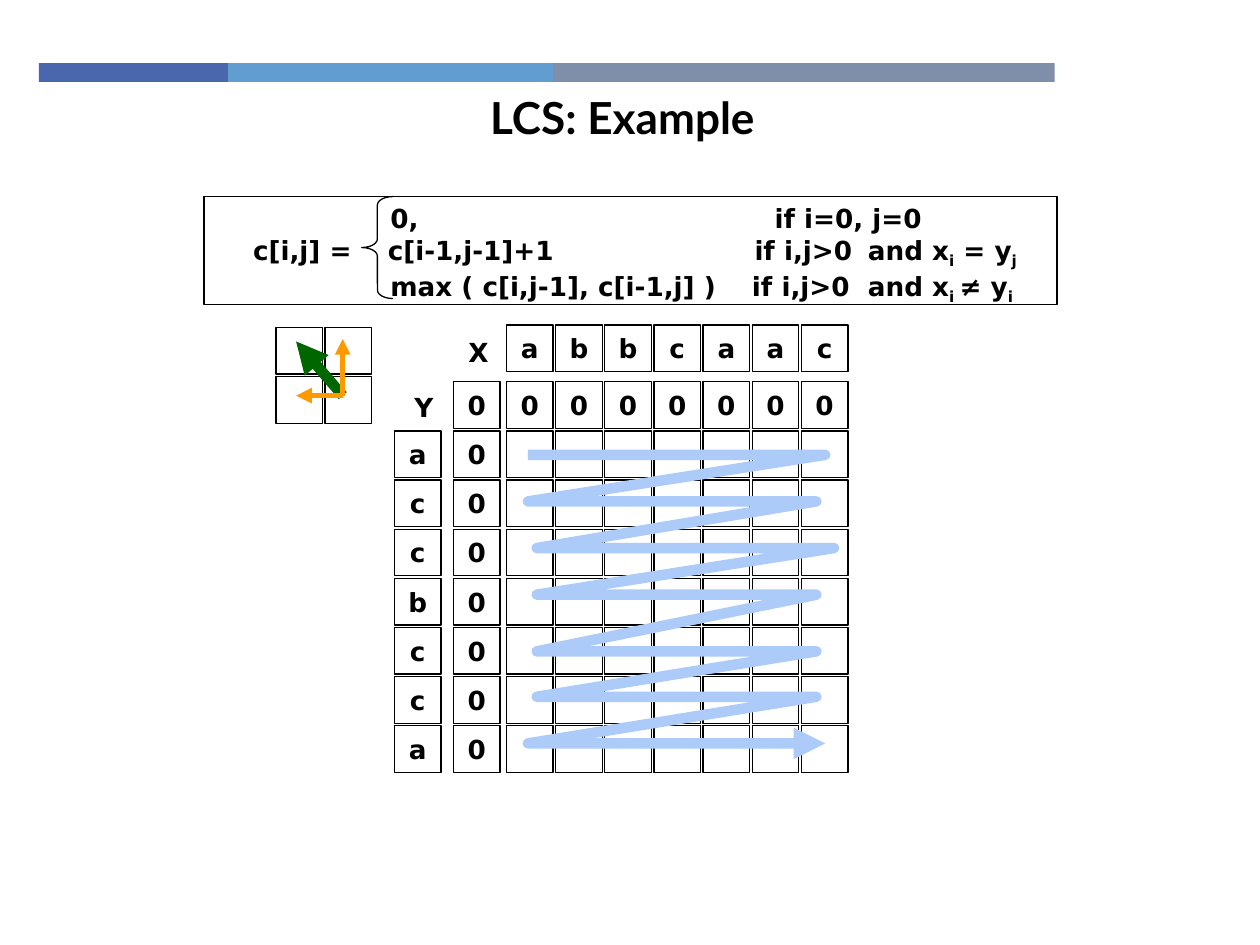
from dataclasses import dataclass

from lxml import etree
from pptx import Presentation
from pptx import util as u
from pptx.dml import color
from pptx.enum import shapes, text
from pptx.oxml import ns


@dataclass(frozen=True)
class Theme:
    """Colours, fonts and type sizes of the slide."""
    ink: str = "000000"
    bars: tuple = ("4A66AC", "629DD1", "7F8FA9")
    diagonal: str = "006600"
    straight: str = "FF9900"
    sweep: str = "ACCBF9"
    title_font: str = "Lato"
    body_font: str = "DejaVu Sans"
    title_size: float = 25.2
    body_size: float = 15
    hairline: float = 0.75


THEME = Theme()
CELL, STEP = 0.37, 0.39
GEO = shapes.MSO_SHAPE


def rgb(value):
    """Turn a hex string into a colour."""
    return color.RGBColor.from_string(value)


def set_attrs(target, values):
    """Set every attribute named in a dict."""
    for name, value in values.items():
        setattr(target, name, value)


def style_run(r, font, size):
    """Apply bold ink type to a run."""
    set_attrs(r.font, {"name": font, "size": u.Pt(size), "bold": True})
    r.font.color.rgb = rgb(THEME.ink)


def style_line(sp, hue, width, arrow=False):
    """Set line colour and width, with an optional arrowhead."""
    sp.line.color.rgb = rgb(hue)
    sp.line.width = u.Pt(width)
    if arrow:
        ln = sp.line._get_or_add_ln()
        etree.SubElement(ln, ns.qn("a:round"))
        etree.SubElement(ln, ns.qn("a:tailEnd"), type="triangle")


def outline(s, kind, x, y, w, h):
    """Add an unfilled preset shape with a thin outline."""
    sp = s.shapes.add_shape(kind, *map(u.Inches, (x, y, w, h)))
    sp.shadow.inherit = False
    sp.fill.background()
    style_line(sp, THEME.ink, THEME.hairline)
    return sp


def add_cell(s, x, y, label=""):
    """Add one square cell, with a centred label if given."""
    sp = outline(s, GEO.RECTANGLE, x, y, CELL, CELL)
    if label:
        tf = sp.text_frame
        set_attrs(tf, {"word_wrap": False, "vertical_anchor": text.MSO_ANCHOR.MIDDLE})
        p = tf.paragraphs[0]
        p.alignment = text.PP_ALIGN.CENTER
        r = p.add_run()
        r.text = label
        style_run(r, THEME.body_font, THEME.body_size)


def add_axis_name(s, x, y, label):
    """Add the name of a sequence."""
    tf = s.shapes.add_textbox(*map(u.Inches, (x, y, 0.36, 0.35))).text_frame
    tf.word_wrap = False
    r = tf.paragraphs[0].add_run()
    r.text = label
    style_run(r, THEME.body_font, THEME.body_size)


def add_header(s, x, y):
    """Add the coloured bars and the title."""
    left = x
    for hue, width in zip(THEME.bars, (1.5, 2.58, 3.98)):
        sp = s.shapes.add_shape(GEO.RECTANGLE, *map(u.Inches, (left, y, width, 0.15)))
        sp.shadow.inherit = False
        sp.fill.solid()
        sp.fill.fore_color.rgb = rgb(hue)
        sp.line.fill.background()
        left += width
    title = s.shapes.title
    set_attrs(title, {"left": 0, "top": u.Inches(y + 0.17),
                      "width": u.Inches(9.88), "height": u.Inches(0.52)})
    title.text_frame.vertical_anchor = text.MSO_ANCHOR.MIDDLE
    p = title.text_frame.paragraphs[0]
    p.alignment = text.PP_ALIGN.CENTER
    r = p.add_run()
    r.text = "LCS: Example"
    style_run(r, THEME.title_font, THEME.title_size)


def add_table_grid(s, x, y, across, down):
    """Add the cost grid with its two sequences and zero borders."""
    cols = [x + 0.47] + [x + 0.89 + STEP * i for i in range(len(across))]
    rows = [y + 0.45 + STEP * j for j in range(len(down) + 1)]
    for j, top in enumerate(rows):
        for i, left in enumerate(cols):
            add_cell(s, left, top, "" if i and j else "0")
    for left, label in zip(cols[1:], across):
        add_cell(s, left, y, label)
    for top, label in zip(rows[1:], down):
        add_cell(s, x, top, label)
    add_axis_name(s, x + 0.49, y + 0.04, "X")
    add_axis_name(s, x + 0.06, y + 0.48, "Y")


def add_direction_key(s, x, y):
    """Add the four-cell key with its three arrows."""
    for k in range(4):
        add_cell(s, x + STEP * (k % 2), y + STEP * (k // 2))
    arrows = ((0.16, 0.11, THEME.diagonal, 6),
              (0.53, 0.09, THEME.straight, 3),
              (0.16, 0.54, THEME.straight, 3))
    for dx, dy, hue, width in arrows:
        sp = s.shapes.add_connector(shapes.MSO_CONNECTOR.STRAIGHT, *map(
            u.Inches, (x + 0.53, y + 0.54, x + dx, y + dy)))
        style_line(sp, hue, width, arrow=True)
        etree.SubElement(sp._element.spPr, ns.qn("a:effectLst"))


def add_sweep(s, x, y):
    """Add the zigzag that shows the filling order."""
    passes = ((0, 2.36, 0), (0, 2.29, 0.37), (0.07, 2.43, 0.74), (0.07, 2.29, 1.11),
              (0.07, 2.29, 1.56), (0.07, 2.29, 1.92), (0, 2.36, 2.29))
    points = [(u.Inches(x + dx), u.Inches(y + dy))
              for start, end, dy in passes for dx in (start, end)]
    path = s.shapes.build_freeform(*points[0])
    path.add_line_segments(points[1:], close=False)
    sp = path.convert_to_shape()
    sp.shadow.inherit = False
    sp.fill.background()
    style_line(sp, THEME.sweep, 6, arrow=True)


def add_recurrence(s, x, y):
    """Add the boxed recurrence with its brace."""
    lines = (
        ((1.38, 4.43), ("\t0,\tif i=0, j=0",)),
        ((0.29, 1.36, 4.27, 5.17),
         ("\tc[i,j] =\tc[i-1,j-1]+1\tif i,j>0\tand x", "i", " = y", "j")),
        ((1.38, 4.25, 5.17),
         ("\tmax ( c[i,j-1], c[i-1,j] )\tif i,j>0\tand x", "i ", "≠ y", "i")),
    )
    tf = outline(s, GEO.RECTANGLE, x, y, 6.77, 0.86).text_frame
    set_attrs(tf, {"word_wrap": True, "vertical_anchor": text.MSO_ANCHOR.TOP})
    for n, (stops, parts) in enumerate(lines):
        p = tf.add_paragraph() if n else tf.paragraphs[0]
        p.alignment = text.PP_ALIGN.LEFT
        tabs = etree.SubElement(p._p.get_or_add_pPr(), ns.qn("a:tabLst"))
        for stop in stops:
            etree.SubElement(tabs, ns.qn("a:tab"), pos=str(u.Inches(stop)), algn="l")
        for k, part in enumerate(parts):
            r = p.add_run()
            r.text = part
            style_run(r, THEME.body_font, THEME.body_size)
            if k % 2:
                r.font._element.set("baseline", "-25000")
    brace = outline(s, GEO.LEFT_BRACE, x + 1.25, y, 0.25, 0.81)
    brace.adjustments[0] = 0.27


def build():
    """Build and save the slide."""
    prs = Presentation()
    prs.slide_width, prs.slide_height = u.Inches(10), u.Inches(7.5)
    s = prs.slides.add_slide(prs.slide_layouts[5])
    add_header(s, 0.31, 0.5)
    add_table_grid(s, 3.13, 2.58, "abbcaac", "accbcca")
    add_direction_key(s, 2.19, 2.6)
    add_sweep(s, 4.19, 3.61)
    add_recurrence(s, 1.62, 1.56)
    prs.save("out.pptx")


build()
